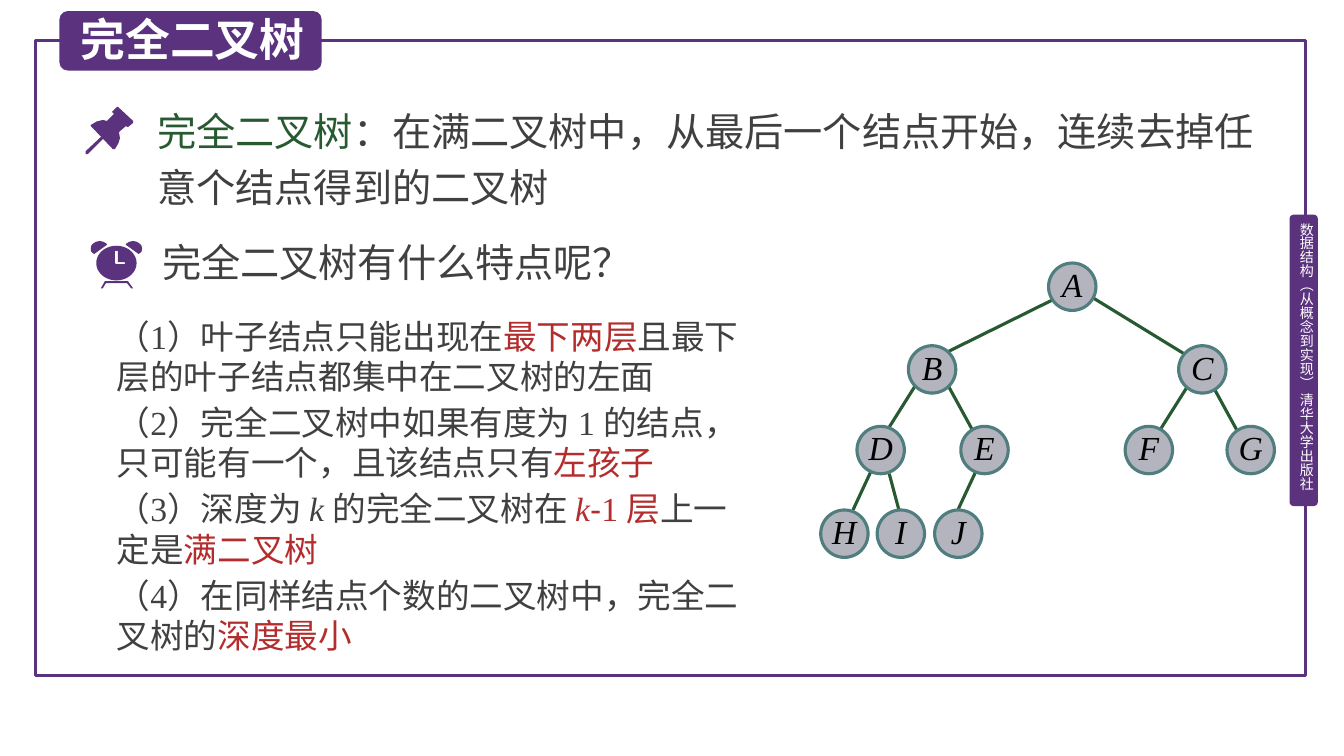
"""Build the slide on complete binary trees: definition, four features and an example tree."""
import math

import lxml.etree
import pptx
import pptx.dml.color
import pptx.enum.shapes
import pptx.enum.text
import pptx.oxml.ns
import pptx.util

COLORS = {
    "purple": "5A327D", "white": "FFFFFF", "green": "285A32", "text": "404040",
    "red": "B42D2D", "node": "B4B4BE", "rim": "507D7D", "black": "000000",
}
COLORS = {name: pptx.dml.color.RGBColor.from_string(code) for name, code in COLORS.items()}
SANS, SERIF = "Noto Sans CJK SC", "Times New Roman"
SHAPES = pptx.enum.shapes.MSO_SHAPE
LINE_WIDTH = pptx.util.Pt(2.25)

deck = pptx.Presentation()
deck.slide_width = pptx.util.Inches(13.33)
deck.slide_height = pptx.util.Inches(7.5)
cell = deck.slide_height / 75
page = deck.slides.add_slide(deck.slide_layouts[6])


def write(box, parts, size, face, insets=(0, 0, 0, 0), leading=None):
    """Fill a box with one paragraph of (text, color) parts and return its spans."""
    frame = box.text_frame
    frame.word_wrap = True
    frame.margin_left, frame.margin_top, frame.margin_right, frame.margin_bottom = [
        round(inset * cell) for inset in insets]
    para = frame.paragraphs[0]
    if leading:
        para.line_spacing = pptx.util.Pt(leading)
    para.font.size = pptx.util.Pt(size)
    para.font.name = face
    defaults = para._p.pPr.find(pptx.oxml.ns.qn("a:defRPr"))
    lxml.etree.SubElement(defaults, pptx.oxml.ns.qn("a:ea"), typeface=SANS)
    spans = []
    for text, color in parts:
        span = para.add_run()
        span.text = text
        span.font.color.rgb = COLORS[color]
        spans.append(span)
    return spans


def draw_outline(*contours):
    """Draw closed contours, given in grid cells, as one purple shape."""
    contours = [[(x * cell, y * cell) for x, y in contour] for contour in contours]
    builder = page.shapes.build_freeform(*contours[0][0])
    for contour in contours:
        if contour is not contours[0]:
            builder.move_to(*contour[0])
        builder.add_line_segments(contour[1:], close=True)
    outline = builder.convert_to_shape()
    outline.shadow.inherit = False
    outline.fill.solid()
    outline.fill.fore_color.rgb = COLORS["purple"]
    outline.line.fill.background()


border = page.shapes.add_shape(
    SHAPES.RECTANGLE, *[round(n * cell) for n in (3.5, 4, 126, 63)])
border.shadow.inherit = False
border.fill.background()
border.line.color.rgb = COLORS["purple"]
border.line.width = LINE_WIDTH

for place in ((127.9, 21.3, 2.8, 28.9), (5.9, 1.1, 26, 5.9)):
    badge = page.shapes.add_shape(SHAPES.ROUNDED_RECTANGLE, *[round(n * cell) for n in place])
    badge.adjustments[0] = 0.14
    badge.shadow.inherit = False
    badge.fill.solid()
    badge.fill.fore_color.rgb = COLORS["purple"]
    badge.line.fill.background()

pad = (1, 0.5, 1, 0.5)
texts = [
    ((128.7, 22.1, 1.7, 28.1), 10, SANS, (0, 0, 0, 0), None,
     [("数据结构（从概念到实现） 清华大学出版社", "white")]),
    ((7, 0.7, 25, 6.4), 32, SANS, pad, None, [("完全二叉树", "white")]),
    ((15.6, 9.3, 111.1, 12.2), 28, SERIF, (0, 0.5, 0, 0.5), 40,
     [("完全二叉树", "green"),
      ("：在满二叉树中，从最后一个结点开始，连续去掉任意个结点得到的二叉树", "text")]),
    ((15.1, 23.2, 52.4, 5.7), 28, SANS, pad, None, [("完全二叉树有什么特点呢？", "text")]),
]
features = [
    [("（1）叶子结点只能出现在", "text"), ("最下两层", "red"),
     ("且最下层的叶子结点都集中在二叉树的左面", "text")],
    [("（2）完全二叉树中如果有度为 1 的结点，只可能有一个，且该结点只有", "text"),
     ("左孩子", "red")],
    [("（3）深度为 ", "text"), ("k ", "text"), ("的完全二叉树在 ", "text"), ("k", "red"),
     ("-", "red"), ("1 层", "red"), ("上一定是", "text"), ("满二叉树", "red")],
    [("（4）在同样结点个数的二叉树中，完全二叉树的", "text"), ("深度最小", "red")],
]
for row, parts in enumerate(features):
    texts.append(((10.6, 30.8 + 8.57 * row, 65.1, 9.1), 24, SERIF, pad, None, parts))

for place, size, face, insets, leading, parts in texts:
    box = page.shapes.add_textbox(*[round(n * cell) for n in place])
    box.text_frame.auto_size = pptx.enum.text.MSO_AUTO_SIZE.SHAPE_TO_FIT_TEXT
    for span in write(box, parts, size, face, insets, leading):
        if span.text.strip() == "k":
            span.font.italic = True
        elif span.text == "-":
            span.font.name = "Arial"
    if size == 10:
        box.text_frame._txBody.bodyPr.set("vert", "eaVert")
    elif size == 32:
        box.text_frame.paragraphs[0].font.bold = True

pin_head = [
    (13.2, 12), (11.7, 10.6), (11.6, 10.6), (11.1, 11.1), (11.3, 11.3), (10.6, 12),
    (10.2, 11.9), (9.6, 12.05), (9, 12.4), (9, 12.5), (11.2, 14.8), (11.4, 14.8),
    (11.75, 14.2), (11.9, 13.7), (11.8, 13.1), (12.5, 12.5), (12.6, 12.6), (12.7, 12.6),
    (13.2, 12.2)]
pin_needle = [(8.5, 15.3), (8.5, 15), (10.1, 13.5), (10.3, 13.5), (10.3, 13.7), (8.7, 15.3)]
clock_stand = [
    (10, 28.6), (10.4, 27.9), (12.7, 27.9), (13.2, 28.6), (13, 28.6), (12.6, 28.1),
    (10.5, 28.1), (10.2, 28.6)]
clock_ear = [
    (9.9, 23.9), (9.5, 24), (9.2, 24.2), (9.05, 24.4), (9, 24.7), (9.05, 24.95),
    (9.2, 25.1), (9.35, 25.2), (10.6, 24.3), (10.6, 24.2), (10.3, 24)]
clock_face = [
    (11.55 + 2 * math.cos(math.radians(angle)), 26.1 + 1.72 * math.sin(math.radians(angle)))
    for angle in range(0, 360, 10)]
clock_hands = [
    (11.4, 24.9), (11.7, 24.9), (11.7, 26), (12.4, 26), (12.4, 26.2), (11.5, 26.2), (11.4, 26.1)]
draw_outline(pin_head)
draw_outline(pin_needle)
draw_outline(clock_stand)
draw_outline(clock_ear)
draw_outline([(23.1 - x, y) for x, y in clock_ear])
draw_outline(clock_face, clock_hands)

edges = [
    (104.3, 29.8, 93.4, 35.2), (108, 29.3, 118.1, 35.5),
    (91.2, 37.6, 87.8, 43), (93.9, 38, 96.8, 43.3),
    (117.8, 38.3, 114.4, 43.7), (120.5, 38.7, 123.4, 44),
    (86.6, 46.3, 84.6, 50.6), (88.2, 47, 89.4, 51.5), (97, 46.3, 95, 50.6),
]
for ends in edges:
    edge = page.shapes.add_connector(
        pptx.enum.shapes.MSO_CONNECTOR.STRAIGHT, *[round(n * cell) for n in ends])
    edge.line.color.rgb = COLORS["green"]
    edge.line.width = LINE_WIDTH
    lxml.etree.SubElement(edge._element.spPr, pptx.oxml.ns.qn("a:effectLst"))

levels = [
    (26.1, {"A": 104}),
    (34.3, {"B": 90.1, "C": 116.9}),
    (42.3, {"D": 85, "E": 95.3, "F": 111.6, "G": 121.7}),
    (50.6, {"H": 81.4, "I": 87, "J": 92.7}),
]
for top, nodes in levels:
    for letter, left in nodes.items():
        node = page.shapes.add_shape(
            SHAPES.OVAL, *[round(n * cell) for n in (left, top, 4.7, 4.7)])
        node.shadow.inherit = False
        node.fill.solid()
        node.fill.fore_color.rgb = COLORS["node"]
        node.line.color.rgb = COLORS["rim"]
        node.line.width = LINE_WIDTH
        write(node, [(letter, "black")], 24, SERIF, leading=25)
        node.text_frame.vertical_anchor = pptx.enum.text.MSO_ANCHOR.MIDDLE
        para = node.text_frame.paragraphs[0]
        para.alignment = pptx.enum.text.PP_ALIGN.CENTER
        para.font.italic = True

deck.save("out.pptx")
